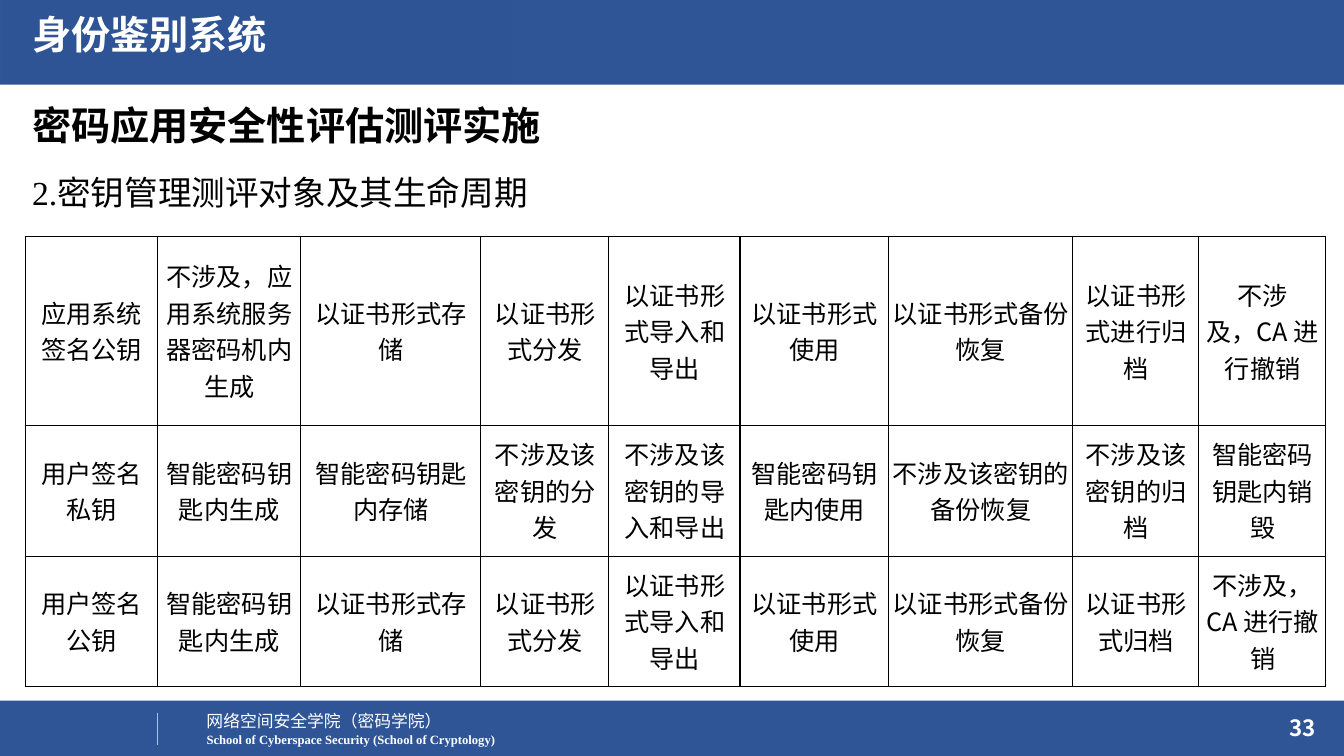
from lxml.etree import SubElement
from pptx import Presentation
from pptx.dml.color import RGBColor
from pptx.enum.shapes import MSO_CONNECTOR, MSO_SHAPE
from pptx.enum.text import MSO_ANCHOR, MSO_AUTO_SIZE, PP_ALIGN
from pptx.oxml.ns import qn
from pptx.util import Inches, Pt

BLUE = RGBColor(0x2F, 0x55, 0x97)
GREY = RGBColor(0xBF, 0xBF, 0xBF)
BLACK = RGBColor(0, 0, 0)
WHITE = RGBColor(255, 255, 255)
SANS, SERIF = "Noto Sans CJK SC", "Times New Roman"

# Content: text, place, size, font, colour, bold
HEADINGS = [
    ("身份鉴别系统", (0.22, 0.11, 8.42, 0.61), 28, SANS, WHITE, True),
    ("密码应用安全性评估测评实施", (0.22, 1.01, 12.9, 0.62), 28, SANS, BLACK, True),
    ("2.密钥管理测评对象及其生命周期", (0.22, 1.7, 12.9, 0.6), 24, SERIF, BLACK, False),
]
FOOTER = [
    ("网络空间安全学院（密码学院）", (1.95, 7, 2.56, 0.3), 12, SANS, WHITE, False),
    ("School of Cyberspace Security (School of Cryptology)",
     (1.95, 7.21, 3.09, 0.25), 9, SERIF, WHITE, True),
]
PAGE_NUMBER = ("33", (10.15, 7.02, 3, 0.4), 16, SANS, WHITE, True)
BARS = [(0, 6.95, 13.33, 0.55), (0, 0, 13.33, 0.84)]
TITLE_FADE = (0, -0.01, 5.07, 0.84)

TABLE_PLACE = (0.25, 2.35, 12.9, 4.46)
COLUMN_WIDTHS = [1.31, 1.42, 1.79, 1.27, 1.3, 1.47, 1.83, 1.25, 1.26]
ROW_HEIGHTS = [1.87, 1.3, 1.29]
KEY_ROWS = [
    ["应用系统签名公钥", "不涉及，应用系统服务器密码机内生成", "以证书形式存储",
     "以证书形式分发", "以证书形式导入和导出", "以证书形式使用",
     "以证书形式备份恢复", "以证书形式进行归档", "不涉\n及，CA 进行撤销"],
    ["用户签名私钥", "智能密码钥匙内生成", "智能密码钥匙内存储",
     "不涉及该密钥的分发", "不涉及该密钥的导入和导出", "智能密码钥匙内使用",
     "不涉及该密钥的备份恢复", "不涉及该密钥的归档", "智能密码钥匙内销毁"],
    ["用户签名公钥", "智能密码钥匙内生成", "以证书形式存储",
     "以证书形式分发", "以证书形式导入和导出", "以证书形式使用",
     "以证书形式备份恢复", "以证书形式归档", "不涉及，CA 进行撤销"],
]


def inches(place):
    return [Inches(value) for value in place]


def style(frame, size, font, color, bold, align):
    for para in frame.paragraphs:
        para.alignment = align
        for span in para.runs:
            span.font.size = Pt(size)
            span.font.name = font
            span.font.bold = bold
            span.font.color.rgb = color
            SubElement(span.font._element, qn("a:ea"), typeface=SANS)


def add_text(page, item, align=PP_ALIGN.LEFT):
    text, place, size, font, color, bold = item
    frame = page.shapes.add_textbox(*inches(place)).text_frame
    frame.text = text
    frame.word_wrap = True
    style(frame, size, font, color, bold, align)
    return frame


def add_bar(page, place):
    bar = page.shapes.add_shape(MSO_SHAPE.RECTANGLE, *inches(place))
    bar.shadow.inherit = False
    bar.fill.solid()
    bar.fill.fore_color.rgb = BLUE
    bar.line.fill.background()
    return bar


def add_borders(cell):
    props = cell._tc.get_or_add_tcPr()
    for position, side in enumerate(("a:lnL", "a:lnR", "a:lnT", "a:lnB")):
        line = SubElement(props, qn(side), w=str(Pt(1)))
        fill = SubElement(line, qn("a:solidFill"))
        SubElement(fill, qn("a:srgbClr"), val=str(BLACK))
        props.insert(position, line)


deck = Presentation()
deck.slide_width, deck.slide_height = Inches(13.33), Inches(7.5)
page = deck.slides.add_slide(deck.slide_layouts[6])

# Header and footer bars
for place in BARS:
    add_bar(page, place)

# Footer
for item in FOOTER:
    frame = add_text(page, item)
    frame.word_wrap = False
    frame.auto_size = MSO_AUTO_SIZE.SHAPE_TO_FIT_TEXT
divider = page.shapes.add_connector(
    MSO_CONNECTOR.STRAIGHT, *inches((1.56, 7.07, 1.56, 7.39)))
divider.line.color.rgb = GREY
divider.line.width = Pt(0.5)
SubElement(divider._element.spPr, qn("a:effectLst"))

# Gradient over the header, clear at its left end
fade = add_bar(page, TITLE_FADE)
fade.fill.gradient()
fade.fill.gradient_angle = 0
for stop in fade.fill.gradient_stops:
    stop.color.rgb = BLUE
first_color = next(fade._element.spPr.iter(qn("a:srgbClr")))
SubElement(first_color, qn("a:alpha"), val="0")

# Page number and headings
number = add_text(page, PAGE_NUMBER, PP_ALIGN.RIGHT)
number.vertical_anchor = MSO_ANCHOR.MIDDLE
for item in HEADINGS:
    add_text(page, item).paragraphs[0].line_spacing = 0.9

# Key life-cycle table
table = page.shapes.add_table(
    len(ROW_HEIGHTS), len(COLUMN_WIDTHS), *inches(TABLE_PLACE)).table
table.first_row = table.horz_banding = False
for column, width in zip(table.columns, COLUMN_WIDTHS):
    column.width = Inches(width)
for row, height, texts in zip(table.rows, ROW_HEIGHTS, KEY_ROWS):
    row.height = Inches(height)
    for cell, text in zip(row.cells, texts):
        cell.text_frame.text = text
        cell.fill.background()
        cell.vertical_anchor = MSO_ANCHOR.MIDDLE
        cell.margin_left, cell.margin_top = Inches(0.04), Inches(0.07)
        cell.margin_right, cell.margin_bottom = Inches(0.03), Inches(0.08)
        style(cell.text_frame, 18, SANS, BLACK, False, PP_ALIGN.CENTER)
        add_borders(cell)

deck.save("out.pptx")
